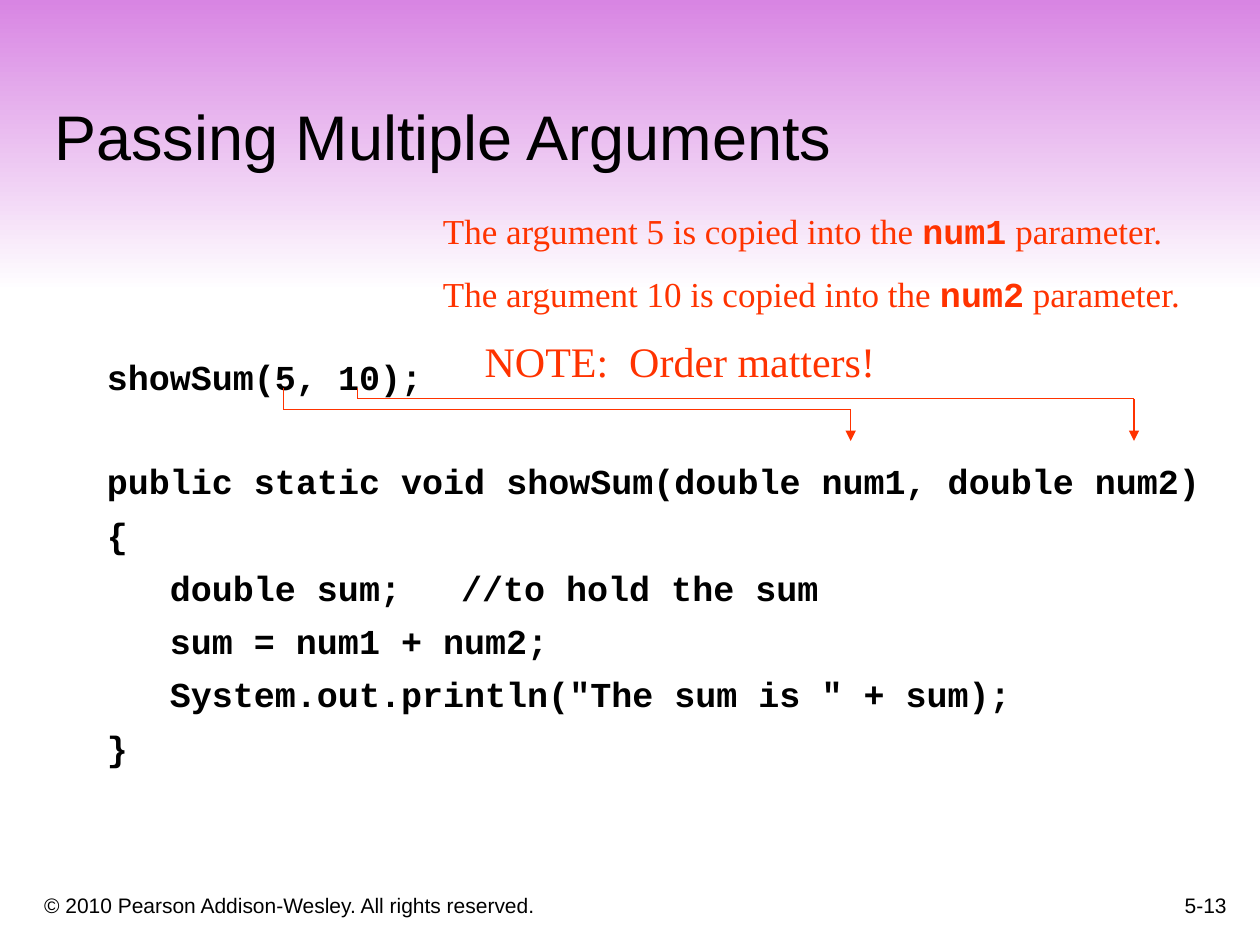
from lxml.etree import SubElement
from pptx import Presentation
from pptx.dml.color import RGBColor
from pptx.enum.shapes import MSO_CONNECTOR as CONN, MSO_SHAPE as SHAPE
from pptx.enum.text import MSO_ANCHOR as ANCHOR, MSO_AUTO_SIZE as AUTO, PP_ALIGN as ALIGN
from pptx.oxml.ns import qn
from pptx.util import Cm, Pt

COLORS = {"band": "D885E3", "paper": "FFFFFF", "ink": "000000", "accent": "FF3300"}
SANS, SERIF, MONO = "Arial", "Times New Roman", "Courier New"

# Code lines: text, level, space before in points
CODE = [
    ("showSum(5, 10);", 0, 0),
    ("public static void showSum(double num1, double num2)", 0, 35.6),
    ("{", 0, 6.4),
    ("double sum;\t//to hold the sum", 1, 6.4),
    ("sum = num1 + num2;", 1, 6.4),
    ('System.out.println("The sum is " + sum);', 1, 6.4),
    ("}", 0, 6.4),
]
INDENTS = [(0.95, -0.95), (2.06, -0.79)]


def color(name):
    return RGBColor.from_string(COLORS[name])


def style(font, name, size, tint="ink", bold=False):
    for key, value in {"name": name, "size": Pt(size), "bold": bold}.items():
        setattr(font, key, value)
    font.color.rgb = color(tint)


def place(sp, box):
    for key, value in zip(("left", "top", "width", "height"), box):
        setattr(sp, key, Cm(value))


def setup_frame(sp, anchor=ANCHOR.TOP):
    tf = sp.text_frame
    for key, value in {"word_wrap": True, "auto_size": AUTO.NONE,
                       "vertical_anchor": anchor}.items():
        setattr(tf, key, value)
    return tf


def add_text(s, box, lines, size, name, tint="ink", anchor=ANCHOR.TOP,
             align=ALIGN.LEFT, gap=0):
    """Each line is a list of (text, is_code) runs."""
    tf = setup_frame(s.shapes.add_textbox(*map(Cm, box)), anchor)
    for i, runs in enumerate(lines):
        p = tf.paragraphs[0] if i == 0 else tf.add_paragraph()
        p.alignment = align
        p.space_before = Pt(gap if i else 0)
        for text, is_code in runs:
            r = p.add_run()
            r.text = text
            style(r.font, MONO if is_code else name, size, tint, is_code)


def add_band(s, box):
    sp = s.shapes.add_shape(SHAPE.RECTANGLE, *map(Cm, box))
    sp.shadow.inherit = False
    sp.line.fill.background()
    sp.fill.gradient()
    sp.fill.gradient_angle = 270
    for stop, name in zip(sp.fill.gradient_stops, ("band", "paper")):
        stop.color.rgb = color(name)
    s.shapes._spTree.insert(2, sp._element)  # behind the placeholders


def fill_title(s, box):
    sp = s.shapes.title
    place(sp, box)
    tf = setup_frame(sp, ANCHOR.BOTTOM)
    tf.text = "Passing Multiple Arguments"
    p = tf.paragraphs[0]
    p.alignment = ALIGN.LEFT
    style(p.runs[0].font, SANS, 36)


def fill_code(s, box):
    sp = s.placeholders[1]
    place(sp, box)
    tf = setup_frame(sp)
    tf.margin_right = 0
    for i, (text, level, before) in enumerate(CODE):
        p = tf.paragraphs[0] if i == 0 else tf.add_paragraph()
        p.level = level
        pPr = p._p.get_or_add_pPr()
        for key, value in zip(("marL", "indent"), INDENTS[level]):
            pPr.set(key, str(Cm(value)))
        SubElement(pPr, qn("a:buNone"))
        if "\t" in text:
            tabs = SubElement(pPr, qn("a:tabLst"))
            SubElement(tabs, qn("a:tab"), pos=str(Cm(5.08)), algn="l")
        p.space_before = Pt(before)
        r = p.add_run()
        r.text = text
        style(r.font, MONO, 20, bold=True)


def add_notes(s, left, top):
    copied = [[(f"The argument {value} is copied into the ", False),
               (name, True), (" parameter.", False)]
              for value, name in ((5, "num1"), (10, "num2"))]
    add_text(s, (left, top, 15.67, 2.38), copied, 20, SERIF, "accent", gap=12.5)
    add_text(s, (left + 0.84, top + 2.54, 11, 1.27),
             [[("NOTE:  Order matters!", False)]], 24, SERIF, "accent")


def add_route(s, x1, x2, top, turn, bottom):
    """Line down from an argument, across, and down to its parameter."""
    points = [(x1, top), (x1, turn), (x2, turn), (x2, bottom)]
    for start, end in zip(points, points[1:]):
        c = s.shapes.add_connector(CONN.STRAIGHT, *map(Cm, start + end))
        c.line.color.rgb = color("accent")
        c.line.width = Pt(0.75)
        if end == points[-1]:
            SubElement(c.line._get_or_add_ln(), qn("a:tailEnd"), type="triangle")
        SubElement(c._element.spPr, qn("a:effectLst"))


def add_footer(s, left, right, bottom):
    add_text(s, (left, bottom - 1.07, 15.44, 1.07),
             [[("© 2010 Pearson Addison-Wesley. All rights reserved.", False)]],
             12, SANS, anchor=ANCHOR.BOTTOM)
    add_text(s, (right - 5.28, bottom - 1.27, 5.28, 1.27), [[("5-13", False)]],
             12, SANS, anchor=ANCHOR.BOTTOM, align=ALIGN.RIGHT)


def main():
    prs = Presentation()
    prs.slide_width, prs.slide_height = Cm(25.4), Cm(19.05)
    s = prs.slides.add_slide(prs.slide_layouts[1])
    # Heading
    add_band(s, (0, 0, 25.4, 5.89))
    fill_title(s, (0.84, 0.84, 23.93, 2.77))
    # Code and remarks
    fill_code(s, (1.9, 7.04, 22.86, 10.54))
    add_notes(s, 8.68, 4.09)
    # Arrows from arguments to parameters
    add_route(s, 5.72, 17.15, 7.83, 8.26, 8.89)
    add_route(s, 7.2, 22.86, 7.83, 8.04, 8.89)
    # Footer
    add_footer(s, 0.64, 24.98, 18.63)
    prs.save("out.pptx")


if __name__ == "__main__":
    main()
